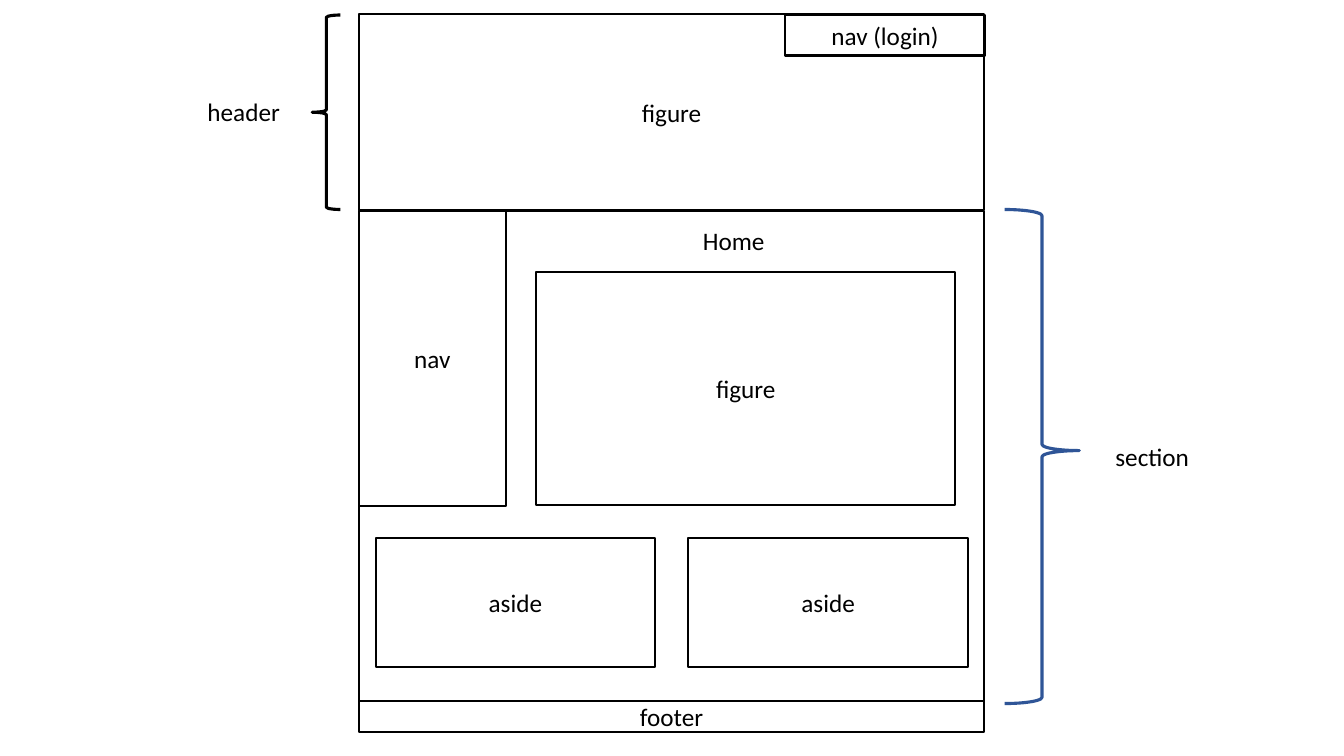
from dataclasses import dataclass

from pptx import Presentation
from pptx.dml.color import RGBColor
from pptx.enum.shapes import MSO_SHAPE
from pptx.enum.text import MSO_ANCHOR, MSO_AUTO_SIZE, PP_ALIGN
from pptx.shapes.autoshape import Shape
from pptx.slide import Slide
from pptx.text.text import TextFrame
from pptx.util import Cm, Pt

RECT = MSO_SHAPE.RECTANGLE
LEFT_BRACE = MSO_SHAPE.LEFT_BRACE
RIGHT_BRACE = MSO_SHAPE.RIGHT_BRACE
MIDDLE = MSO_ANCHOR.MIDDLE
GROW = MSO_AUTO_SIZE.SHAPE_TO_FIT_TEXT
LEFT = PP_ALIGN.LEFT
CENTER = PP_ALIGN.CENTER

COLORS = {"ink": "000000", "blue": "2F5597"}
FONT = "Calibri"

# Shared page edges, in centimetres
PAGE_X, PAGE_W = 9.04, 15.77
HEAD_Y, HEAD_H = 0.36, 4.93
BODY_Y, BODY_H = 5.31, 12.36
FOOT_Y, FOOT_H = 17.66, 0.79
ASIDE_X, ASIDE_STEP = 9.47, 7.88


@dataclass(frozen=True)
class Area:
    x: float
    y: float
    w: float
    h: float


@dataclass(frozen=True)
class Box:
    area: Area
    text: str = ""


@dataclass(frozen=True)
class Brace:
    kind: MSO_SHAPE
    area: Area
    color: str
    point: float


@dataclass(frozen=True)
class Label:
    area: Area
    text: str
    align: PP_ALIGN = LEFT


BOXES = [
    Box(Area(PAGE_X, BODY_Y, PAGE_W, BODY_H)),
    Box(Area(PAGE_X, HEAD_Y, PAGE_W, HEAD_H), "figure"),
    Box(Area(PAGE_X, FOOT_Y, PAGE_W, FOOT_H), "footer"),
    Box(Area(19.78, 0.38, 5.05, 1.02), "nav (login)"),
    Box(Area(PAGE_X, BODY_Y, 3.71, 7.44), "nav"),
    *(Box(Area(ASIDE_X + i * ASIDE_STEP, 13.56, 7.04, 3.25), "aside")
      for i in range(2)),
    Box(Area(13.51, 6.86, 10.57, 5.87), "figure"),
]
BRACES = [
    Brace(RIGHT_BRACE, Area(25.32, 5.28, 1.88, 12.45), "blue", 0.488),
    Brace(LEFT_BRACE, Area(7.87, 0.38, 0.71, 4.9), "ink", 0.5),
]
LABELS = [
    Label(Area(27.86, 11, 2.92, 1.02), "section"),
    Label(Area(4.98, 2.31, 2.92, 1.02), "header"),
    Label(Area(16.28, 5.56, 4.42, 1.02), "Home", CENTER),
]


def place(area: Area) -> tuple[Cm, Cm, Cm, Cm]:
    return Cm(area.x), Cm(area.y), Cm(area.w), Cm(area.h)


def write(frame: TextFrame, text: str, align: PP_ALIGN) -> None:
    frame.word_wrap = True
    para = frame.paragraphs[0]
    para.alignment = align
    run = para.add_run()
    run.text = text
    run.font.name = FONT
    run.font.size = Pt(18)
    run.font.color.rgb = RGBColor.from_string(COLORS["ink"])


def outline(slide: Slide, kind: MSO_SHAPE, area: Area,
            color: str, width: float) -> Shape:
    """Add an unfilled shape with a plain line."""
    shape = slide.shapes.add_shape(kind, *place(area))
    shape.shadow.inherit = False
    shape.fill.background()
    shape.line.color.rgb = RGBColor.from_string(COLORS[color])
    shape.line.width = Pt(width)
    return shape


def draw_box(slide: Slide, box: Box) -> None:
    shape = outline(slide, RECT, box.area, "ink", 1.5)
    if box.text:
        shape.text_frame.vertical_anchor = MIDDLE
        write(shape.text_frame, box.text, CENTER)


def draw_brace(slide: Slide, brace: Brace) -> None:
    shape = outline(slide, brace.kind, brace.area, brace.color, 2.25)
    shape.adjustments[0] = 0.083
    shape.adjustments[1] = brace.point


def draw_label(slide: Slide, label: Label) -> None:
    frame = slide.shapes.add_textbox(*place(label.area)).text_frame
    write(frame, label.text, label.align)
    frame.auto_size = GROW


def main() -> None:
    deck = Presentation()
    deck.slide_width, deck.slide_height = Cm(33.87), Cm(19.05)
    slide = deck.slides.add_slide(deck.slide_layouts[6])
    for box in BOXES:
        draw_box(slide, box)
    for brace in BRACES:
        draw_brace(slide, brace)
    for label in LABELS:
        draw_label(slide, label)
    deck.save("out.pptx")


if __name__ == "__main__":
    main()
